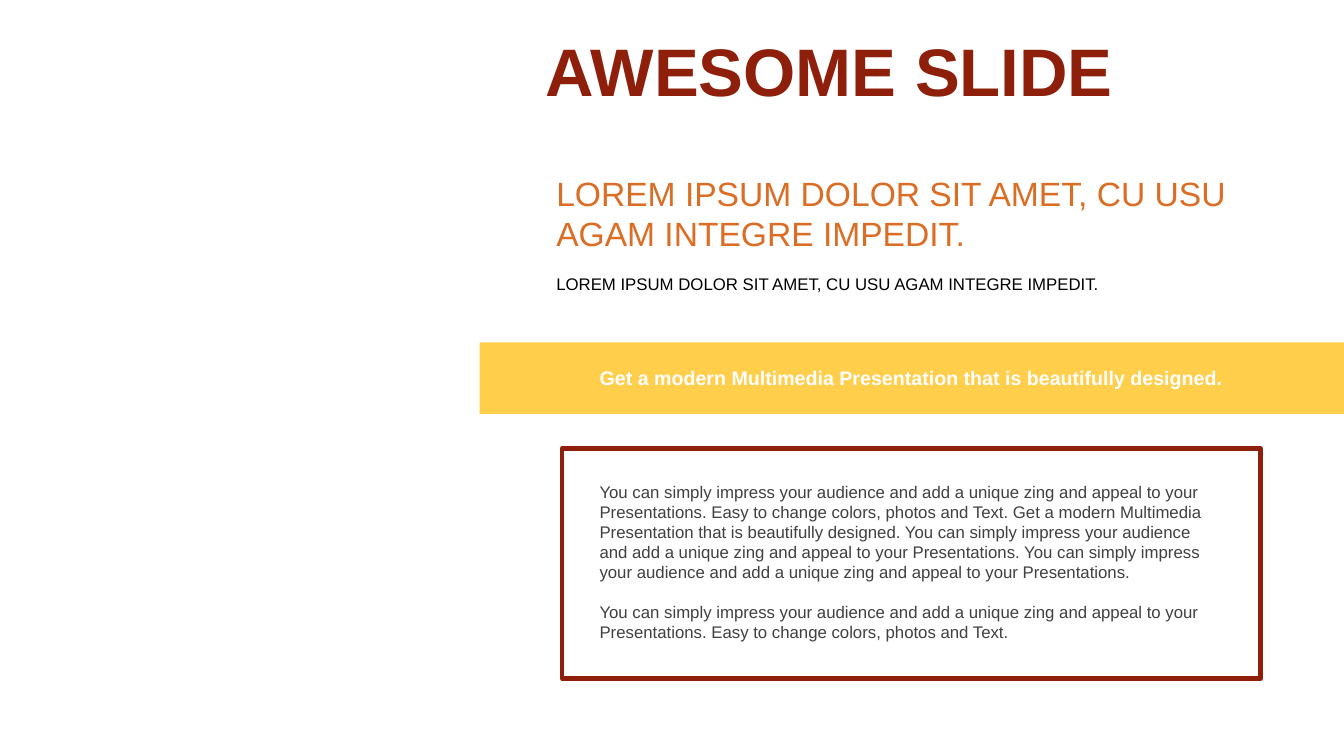
import dataclasses

import pptx
import pptx.dml.color
import pptx.enum.shapes
import pptx.enum.text
import pptx.util

Cm = pptx.util.Cm
Pt = pptx.util.Pt
Anchor = pptx.enum.text.MSO_ANCHOR
Align = pptx.enum.text.PP_ALIGN


@dataclasses.dataclass(frozen=True)
class Theme:
    font: str = "Arial"
    maroon: str = "8E1F0B"
    orange: str = "DB6D25"
    yellow: str = "FFCE4B"
    white: str = "FFFFFF"
    black: str = "000000"
    gray: str = "404040"
    title_size: int = 48
    heading_size: int = 24
    banner_size: int = 14
    body_size: int = 12


THEME = Theme()
LOREM = "LOREM IPSUM DOLOR SIT AMET, CU USU AGAM INTEGRE IMPEDIT."
IMPRESS = "You can simply impress your audience and add a unique zing and appeal to your Presentations."
EASY = "Easy to change colors, photos and Text."
MODERN = "Get a modern Multimedia Presentation that is beautifully designed."


def rgb(color):
    return pptx.dml.color.RGBColor.from_string(color)


def add_rectangle(slide, left, top, width, height, fill=None, line=None):
    shape = slide.shapes.add_shape(
        pptx.enum.shapes.MSO_SHAPE.RECTANGLE, Cm(left), Cm(top), Cm(width), Cm(height)
    )
    shape.shadow.inherit = False
    if fill:
        shape.fill.solid()
        shape.fill.fore_color.rgb = rgb(fill)
    else:
        shape.fill.background()
    if line:
        shape.line.color.rgb = rgb(line)
        shape.line.width = Pt(3)
    else:
        shape.line.fill.background()


def add_text(slide, left, top, width, height, paragraphs, size, color,
             bold=False, anchor=Anchor.TOP, align=Align.LEFT, line_spacing=1.0, gap=0):
    text_box = slide.shapes.add_textbox(Cm(left), Cm(top), Cm(width), Cm(height))
    text_frame = text_box.text_frame
    text_frame.word_wrap = True
    text_frame.vertical_anchor = anchor
    text_frame.text = "\n".join(paragraphs)
    for index, paragraph in enumerate(text_frame.paragraphs):
        paragraph.alignment = align
        paragraph.line_spacing = line_spacing
        if index:
            paragraph.space_before = Pt(gap)
        for run in paragraph.runs:
            run.font.name = THEME.font
            run.font.size = Pt(size)
            run.font.bold = bold
            run.font.color.rgb = rgb(color)


def main():
    presentation = pptx.Presentation()
    presentation.slide_width = Cm(33.87)
    presentation.slide_height = Cm(19.05)
    slide = presentation.slides.add_slide(presentation.slide_layouts[6])

    add_text(slide, 13.51, 0.89, 15.21, 1.98, ["AWESOME SLIDE"], THEME.title_size,
             THEME.maroon, bold=True, anchor=Anchor.MIDDLE, line_spacing=0.9)
    add_text(slide, 13.77, 4.22, 18, 2.31, [LOREM], THEME.heading_size,
             THEME.orange, anchor=Anchor.MIDDLE)
    add_text(slide, 13.77, 6.76, 18, 0.76, [LOREM], THEME.body_size,
             THEME.black, anchor=Anchor.MIDDLE)

    add_rectangle(slide, 12.09, 8.63, 21.78, 1.8, fill=THEME.yellow)
    add_text(slide, 14.17, 9.09, 17.6, 0.86, [MODERN], THEME.banner_size,
             THEME.white, bold=True, align=Align.CENTER)

    add_rectangle(slide, 14.17, 11.3, 17.6, 5.8, line=THEME.maroon)
    body = [" ".join([IMPRESS, EASY, MODERN, IMPRESS, IMPRESS]), " ".join([IMPRESS, EASY])]
    add_text(slide, 14.86, 12.01, 16.23, 4.37, body, THEME.body_size, THEME.gray, gap=14)

    presentation.save("out.pptx")


if __name__ == "__main__":
    main()
